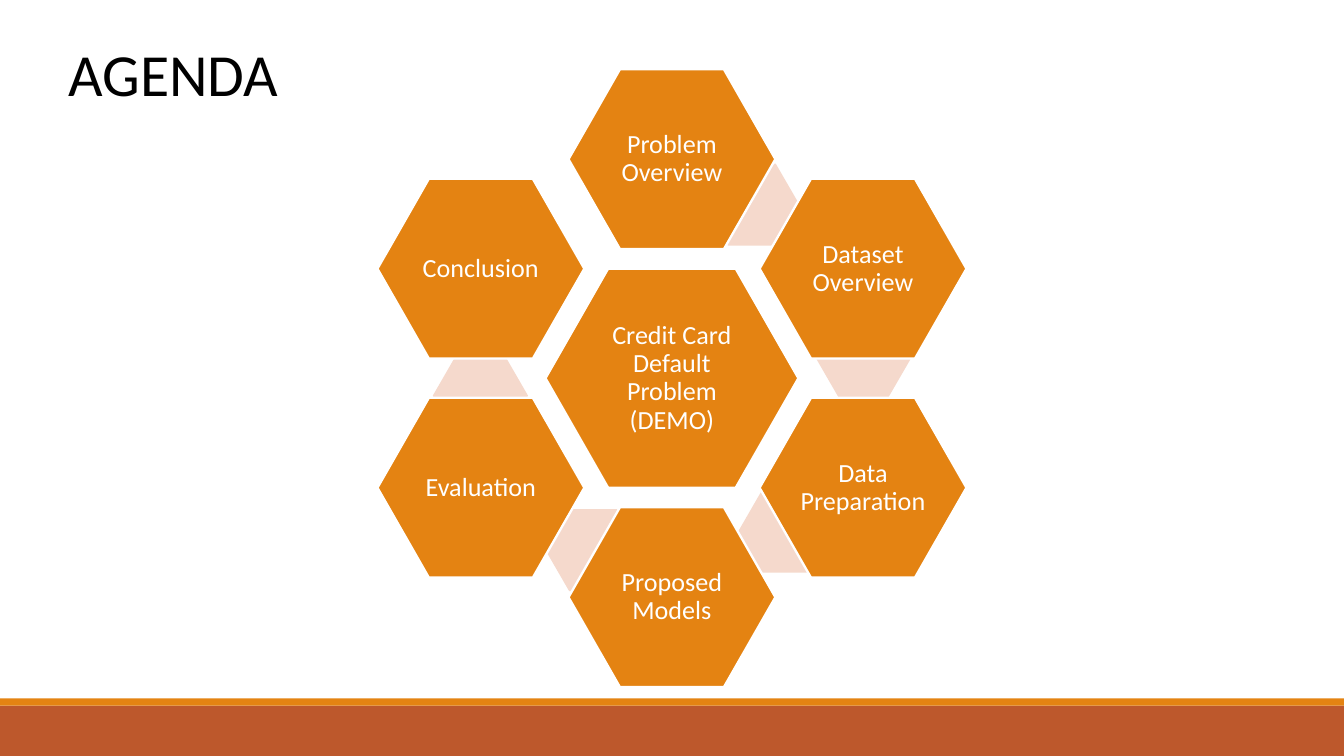
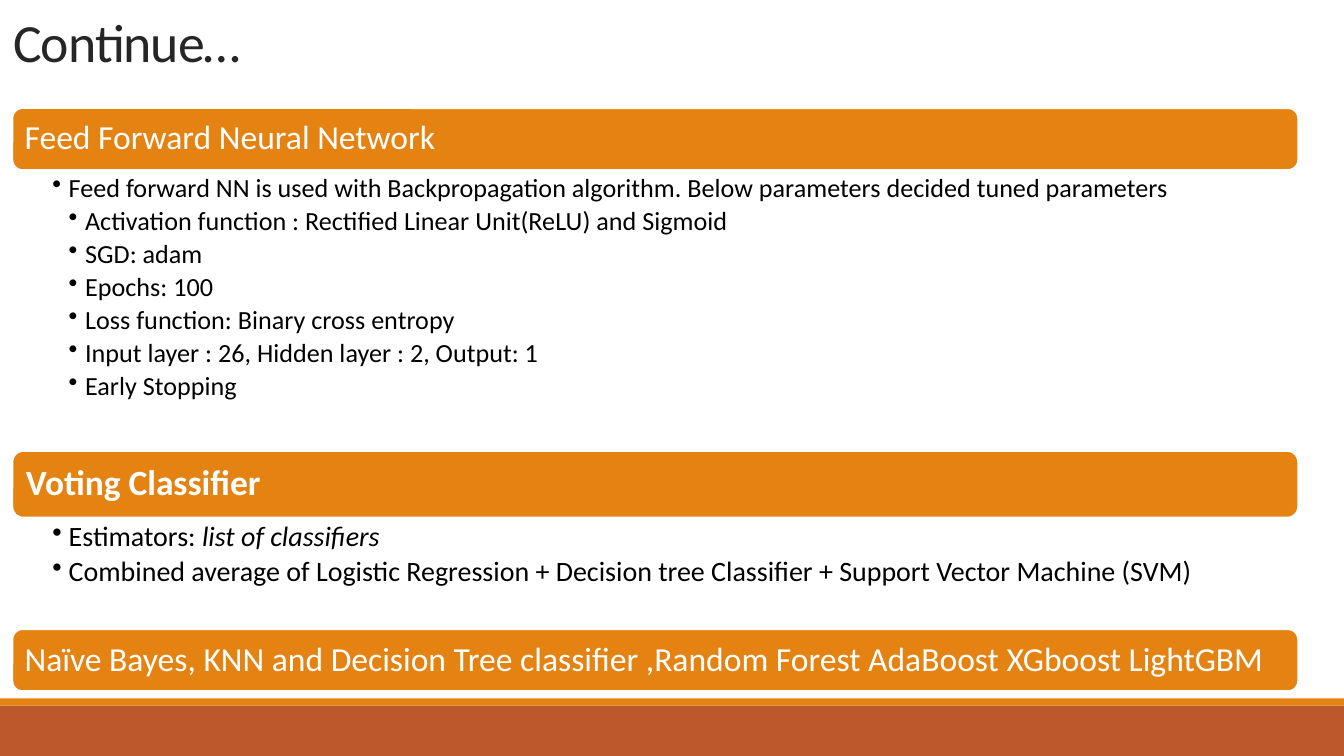
from math import cos, radians, sin

from lxml import etree
from pptx import Presentation
from pptx.dml.color import RGBColor
from pptx.enum import shapes, text
from pptx.oxml import ns
from pptx.util import Cm, Pt

WIDTH, HEIGHT = 25.4, 14.29
FONT = "Calibri"
COLOURS = {
    "orange": "E48312",
    "rust": "BD582C",
    "pale": "F5D9CC",
    "white": "FFFFFF",
    "black": "000000",
    "charcoal": "262626",
}
BANDS = [("rust", 13.34, 0.95), ("orange", 13.2, 0.14)]  # colour, top, height

HUB = "Credit Card Default Problem (DEMO)"
TOPICS = [  # clockwise from the top
    "Problem Overview",
    "Dataset Overview",
    "Data Preparation",
    "Proposed Models",
    "Evaluation",
    "Conclusion",
]
HUB_CENTRE = (12.7, 7.15)
RING = (4.17, 4.14)
HUB_SIZE, TOPIC_SIZE, LINK_SIZE = (4.78, 4.14), (3.91, 3.4), (1.8, 1.55)
# Offsets from the hub; each link lies just beneath the topic of the same rank.
LINKS = [(1.51, -3.28), (3.62, -0.38), (2.15, 2.9), (-1.49, 3.25), (-3.62, 0.33)]

BAR_LEFT, BAR_WIDTH = 0.23, 24.31
SECTIONS = [  # bullets are (level, [(words, italic), ...])
    {"top": 2.04, "height": 1.18, "heading": "Feed Forward Neural Network",
     "size": 18, "bold": False, "inset": 0.18, "body_size": 14, "body_height": 4.65,
     "bullets": [
         (1, [("Feed forward NN is used with Backpropagation algorithm. "
               "Below parameters decided tuned parameters", False)]),
         (2, [("Activation function : Rectified Linear Unit(ReLU) and Sigmoid", False)]),
         (2, [("SGD: adam", False)]),
         (2, [("Epochs: 100", False)]),
         (2, [("Loss function: Binary cross entropy", False)]),
         (2, [("Input layer : 26, Hidden layer : 2, Output: 1", False)]),
         (2, [("Early Stopping", False)]),
     ]},
    {"top": 8.52, "height": 1.27, "heading": "Voting Classifier",
     "size": 19, "bold": True, "inset": 0.2, "body_size": 15, "body_height": 3.1,
     "bullets": [
         (1, [("Estimators: ", False), ("list of classifiers", True)]),
         (1, [("Combined average of Logistic Regression + Decision tree Classifier "
               "+ Support Vector Machine (SVM)", False)]),
     ]},
    {"top": 11.89, "height": 1.18,
     "heading": "Naïve Bayes, KNN and Decision Tree classifier ,"
                "Random Forest AdaBoost XGboost LightGBM",
     "size": 18, "bold": False, "inset": 0.18, "bullets": []},
]


def rgb(name):
    return RGBColor.from_string(COLOURS[name])


def style(para, size, colour, bold=False):
    para.font.name, para.font.size, para.font.bold = FONT, Pt(size), bold
    para.font.color.rgb = rgb(colour)


def set_insets(frame, left, top, right, bottom):
    frame.margin_left, frame.margin_top = Cm(left), Cm(top)
    frame.margin_right, frame.margin_bottom = Cm(right), Cm(bottom)


def add_figure(page, kind, place, fill, outlined=False):
    figure = page.shapes.add_shape(kind, *map(Cm, place))
    figure.shadow.inherit = False
    figure.fill.solid()
    figure.fill.fore_color.rgb = rgb(fill)
    if outlined:
        figure.line.color.rgb = rgb("white")
        figure.line.width = Pt(1.25)
    else:
        figure.line.fill.background()
    return figure


def add_label(figure, words, size, inset, align, bold=False):
    frame = figure.text_frame
    frame.word_wrap = True
    frame.vertical_anchor = text.MSO_ANCHOR.MIDDLE
    set_insets(frame, *[inset] * 4)
    para = frame.paragraphs[0]
    para.text = words
    para.alignment = align
    para.line_spacing = 0.9
    style(para, size, "white", bold)


def add_text_box(page, place):
    frame = page.shapes.add_textbox(*map(Cm, place)).text_frame
    frame.word_wrap = True
    return frame


def add_title(page, words, place, size, colour):
    frame = add_text_box(page, place)
    para = frame.paragraphs[0]
    para.text = words
    style(para, size, colour)
    return frame


def add_hexagon(page, centre, size, fill, words=None):
    left, top = (c - s / 2 for c, s in zip(centre, size))
    hexagon = add_figure(page, shapes.MSO_SHAPE.HEXAGON, (left, top, *size),
                         fill, outlined=bool(words))
    hexagon.adjustments[0] = 0.286 if words else 0.289
    if words:
        add_label(hexagon, words, 14, 0.05, text.PP_ALIGN.CENTER)


def make_bullet(para, level):
    para.level = level
    properties = para._p.get_or_add_pPr()
    properties.set("marL", str(Cm(0.31 * level)))
    properties.set("indent", str(-Cm(0.31)))
    bullet = etree.Element(ns.qn("a:buChar"), char="•")
    properties.find(ns.qn("a:defRPr")).addprevious(bullet)


def add_bullets(page, place, bullets, size):
    frame = add_text_box(page, place)
    set_insets(frame, 0.76, 0.08, 0.37, 0.08)
    for rank, (level, spans) in enumerate(bullets):
        para = frame.add_paragraph() if rank else frame.paragraphs[0]
        para.line_spacing = 0.9
        para.space_after = Pt(0.185 * size)
        style(para, size, "black")
        for words, italic in spans:
            span = para.add_run()
            span.text = words
            if italic:
                span.font.italic = True
        make_bullet(para, level)


def new_page(deck):
    page = deck.slides.add_slide(deck.slide_layouts[6])
    for colour, top, height in BANDS:
        add_figure(page, shapes.MSO_SHAPE.RECTANGLE, (0, top, WIDTH, height), colour)
    return page


def build_agenda(deck):
    page = new_page(deck)
    add_title(page, "AGENDA", (1.04, 0.58, 21.67, 1.63), 32, "black")
    hub_x, hub_y = HUB_CENTRE
    add_hexagon(page, HUB_CENTRE, HUB_SIZE, "orange", HUB)
    for rank, topic in enumerate(TOPICS):
        if rank < len(LINKS):
            dx, dy = LINKS[rank]
            add_hexagon(page, (hub_x + dx, hub_y + dy), LINK_SIZE, "pale")
        angle = radians(360 / len(TOPICS) * rank)
        centre = (hub_x + RING[0] * sin(angle), hub_y - RING[1] * cos(angle))
        add_hexagon(page, centre, TOPIC_SIZE, "orange", topic)


def build_models(deck):
    page = new_page(deck)
    title = add_title(page, "Continue…", (0, 0.3, 22.73, 1.17), 28.8, "charcoal")
    title.vertical_anchor = text.MSO_ANCHOR.BOTTOM
    para = title.paragraphs[0]
    para.line_spacing = 0.65
    para.runs[0].font._element.set("spc", "-50")
    for section in SECTIONS:
        top, height = section["top"], section["height"]
        bar = add_figure(page, shapes.MSO_SHAPE.ROUNDED_RECTANGLE,
                         (BAR_LEFT, top, BAR_WIDTH, height), "orange", outlined=True)
        add_label(bar, section["heading"], section["size"], section["inset"],
                  text.PP_ALIGN.LEFT, section["bold"])
        if section["bullets"]:
            place = (BAR_LEFT, top + height, BAR_WIDTH, section["body_height"])
            add_bullets(page, place, section["bullets"], section["body_size"])


def main():
    deck = Presentation()
    deck.slide_width, deck.slide_height = Cm(WIDTH), Cm(HEIGHT)
    build_agenda(deck)
    build_models(deck)
    deck.save("out.pptx")


if __name__ == "__main__":
    main()
